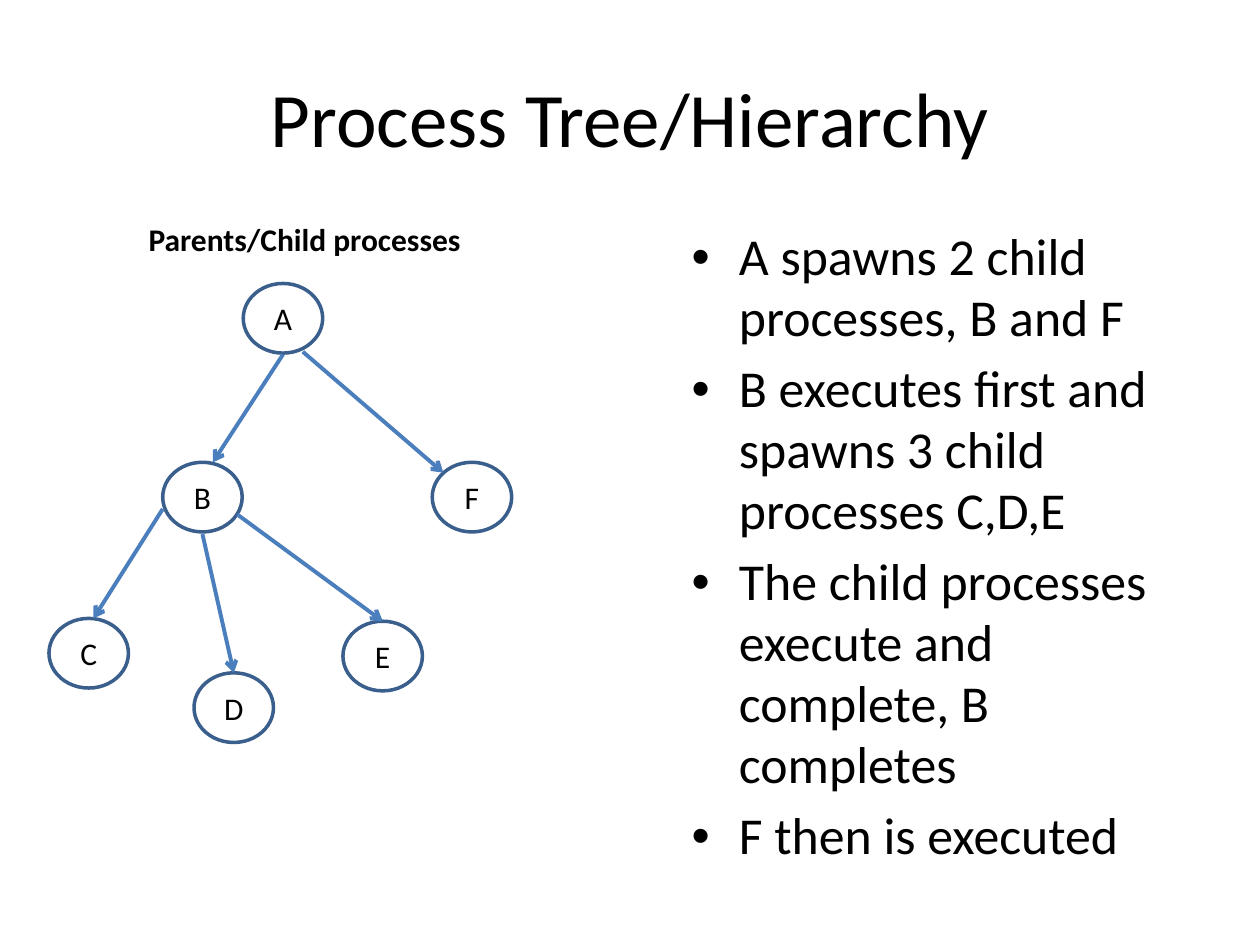
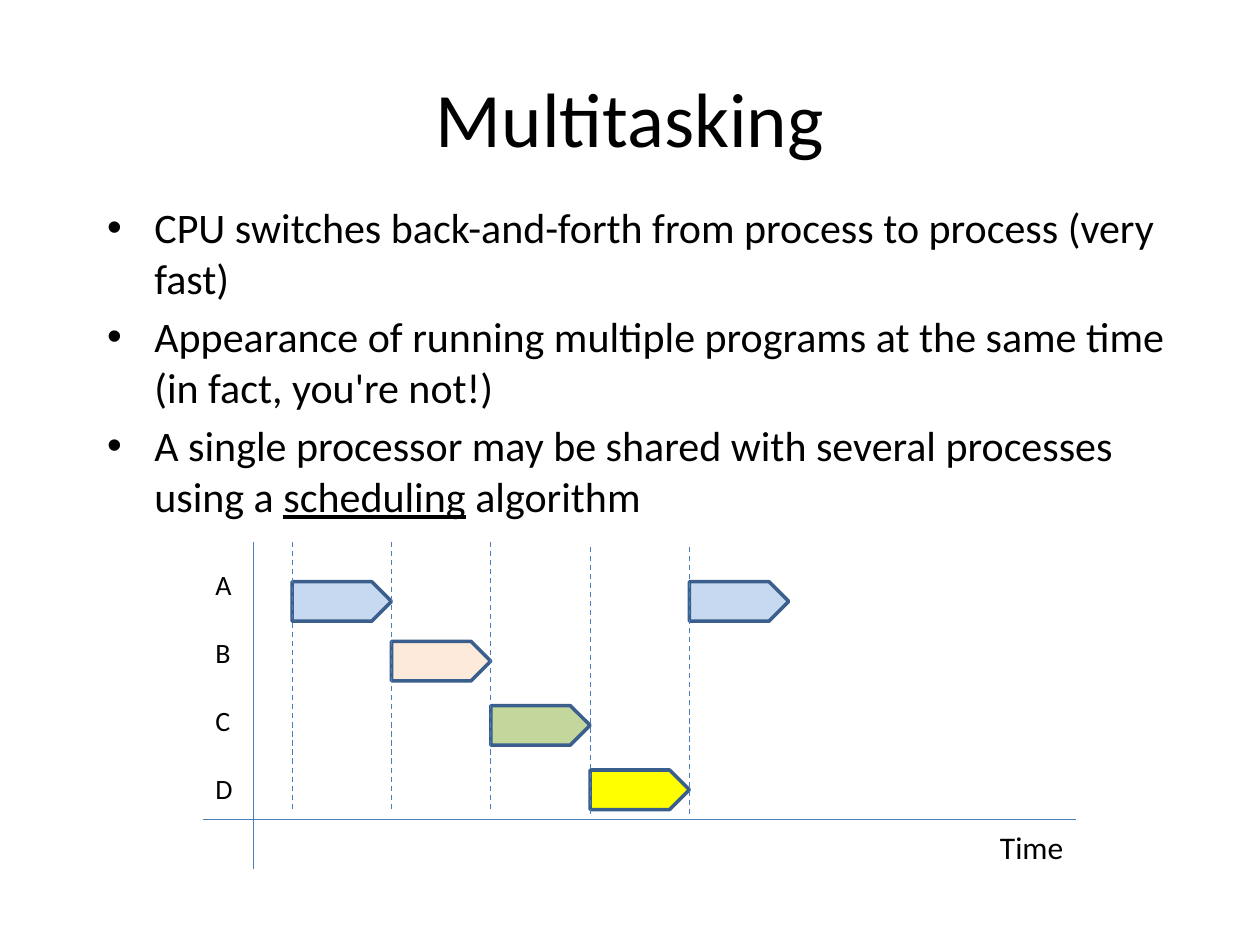
from dataclasses import dataclass

from lxml.etree import SubElement
from pptx import Presentation
from pptx.dml.color import RGBColor
from pptx.enum.dml import MSO_LINE
from pptx.enum.shapes import MSO_CONNECTOR, MSO_SHAPE
from pptx.enum.text import MSO_ANCHOR, MSO_AUTO_SIZE, PP_ALIGN
from pptx.oxml.ns import qn
from pptx.util import Pt


@dataclass(frozen=True)
class Theme:
    font: str = "Calibri"
    ink: str = "000000"
    paper: str = "FFFFFF"
    edge: str = "3A5F8C"
    link: str = "4B7EBC"
    blue: str = "C6D9F1"
    peach: str = "FDEADA"
    green: str = "C3D69B"
    yellow: str = "FFFF00"
    title: float = 44
    large: float = 29.6
    body: float = 24
    label: float = 18
    small: float = 16
    border: float = 2
    arrow: float = 2.25
    thin: float = 0.75


class Deck:
    def __init__(self, theme):
        self.theme = theme
        self.file = Presentation()
        self.file.slide_width, self.file.slide_height = Pt(720), Pt(540)
        self.slide = None

    def start(self, title):
        self.slide = self.file.slides.add_slide(self.file.slide_layouts[1])
        head = self.slide.shapes.title
        self.place(head, 36, 21.6, 648, 90)
        frame = head.text_frame
        frame.text = title
        frame.auto_size = MSO_AUTO_SIZE.NONE
        frame.vertical_anchor = MSO_ANCHOR.MIDDLE
        para = frame.paragraphs[0]
        para.alignment = PP_ALIGN.CENTER
        self.style(para, self.theme.title)

    def place(self, shape, x, y, w, h):
        shape.left, shape.top = Pt(x), Pt(y)
        shape.width, shape.height = Pt(w), Pt(h)

    def style(self, para, size, bold=False):
        font = para.font
        font.name, font.size, font.bold = self.theme.font, Pt(size), bold
        font.color.rgb = RGBColor.from_string(self.theme.ink)

    def bullets(self, box, size, items, pitch=1.0):
        """Fill the body; text between underscores is underlined."""
        body = self.slide.placeholders[1]
        self.place(body, *box)
        frame = body.text_frame
        frame.auto_size = MSO_AUTO_SIZE.NONE
        for i, item in enumerate(items):
            para = frame.add_paragraph() if i else frame.paragraphs[0]
            para.line_spacing = pitch
            self.style(para, size)
            for j, part in enumerate(item.split("_")):
                run = para.add_run()
                run.text = part
                if j % 2:
                    run.font.underline = True

    def text(self, box, lines, size, bold=False, gap=0):
        shape = self.slide.shapes.add_textbox(*map(Pt, box))
        frame = shape.text_frame
        frame.word_wrap = False
        frame.text = "\n".join(lines)
        for i, para in enumerate(frame.paragraphs):
            para.space_before = Pt(gap if i else 0)
            self.style(para, size, bold)

    def shape(self, kind, box, fill, text=""):
        shape = self.slide.shapes.add_shape(kind, *map(Pt, box))
        shape.shadow.inherit = False
        shape.fill.solid()
        shape.fill.fore_color.rgb = RGBColor.from_string(fill)
        shape.line.color.rgb = RGBColor.from_string(self.theme.edge)
        shape.line.width = Pt(self.theme.border)
        if text:
            frame = shape.text_frame
            frame.text = text
            frame.vertical_anchor = MSO_ANCHOR.MIDDLE
            para = frame.paragraphs[0]
            para.alignment = PP_ALIGN.CENTER
            self.style(para, self.theme.label)

    def line(self, start, end, width, dash=False, arrow=False):
        link = self.slide.shapes.add_connector(
            MSO_CONNECTOR.STRAIGHT, *map(Pt, (*start, *end)))
        link.line.color.rgb = RGBColor.from_string(self.theme.link)
        link.line.width = Pt(width)
        if dash:
            link.line.dash_style = MSO_LINE.DASH
        props = link._element.spPr
        if arrow:
            SubElement(props.find(qn("a:ln")), qn("a:tailEnd"), type="arrow")
        SubElement(props, qn("a:effectLst"))


def tree(deck):
    theme = deck.theme
    deck.start("Process Tree/Hierarchy")
    deck.bullets((388, 126, 296, 356.4), theme.large, [
        "A spawns 2 child processes, B and F",
        "B executes first and spawns 3 child processes C,D,E",
        "The child processes execute and complete, B completes",
        "F then is executed",
    ], pitch=0.98)
    deck.text((77.8, 122.4, 194.4, 28.8), ["Parents/Child processes"],
              theme.label, bold=True)

    wide, high = 45.4, 39.8
    nodes = {"A": (139, 162), "B": (93, 264.2), "C": (28, 353.4),
             "D": (110.9, 384.5), "E": (196, 355), "F": (247, 264.2)}
    # Each end is a share of its node's width and height.
    edges = [("A", (0.5, 1.02), "B", (0.63, 0)),
             ("A", (0.75, 0.98), "F", (0.14, 0.15)),
             ("B", (0.5, 1.03), "D", (0.5, 0)),
             ("B", (0, 0.67), "C", (0.56, 0)),
             ("B", (0.94, 0.75), "E", (0.5, 0))]

    def spot(name, share):
        x, y = nodes[name]
        return x + share[0] * wide, y + share[1] * high

    for name, (x, y) in nodes.items():
        deck.shape(MSO_SHAPE.OVAL, (x, y, wide, high), theme.paper, name)
    for parent, out, child, into in edges:
        deck.line(spot(parent, out), spot(child, into), theme.arrow,
                  arrow=True)


def tasks(deck):
    theme = deck.theme
    deck.start("Multitasking")
    deck.bullets((54, 111.6, 624, 158.4), theme.body, [
        "CPU switches back-and-forth from process to process (very fast)",
        "Appearance of running multiple programs at the same time "
        "(in fact, you're not!)",
        "A single processor may be shared with several processes "
        "using a _scheduling_ algorithm",
    ])
    deck.line((144.7, 309.6), (144.7, 496.6), theme.thin)
    deck.line((116, 468.5), (615, 468.5), theme.thin)
    deck.text((564.3, 469.4, 51, 28.8), ["Time"], theme.label)
    deck.text((116, 321, 24.5, 143.3), "ABCD", theme.small, gap=19.5)

    left, step = 167, 56.75
    slots = [(332.4, theme.blue), (366.5, theme.peach), (403.2, theme.green),
             (440, theme.yellow), (332.4, theme.blue)]
    for i, (top, fill) in enumerate(slots):
        deck.shape(MSO_SHAPE.PENTAGON, (left + i * step, top, step, 22.6),
                   fill)
    for i in range(len(slots)):
        x, top = left + i * step, 309.6 if i < 3 else 312.5
        deck.line((x, top), (x, top + 153.4), theme.thin, dash=True)


def main():
    deck = Deck(Theme())
    tree(deck)
    tasks(deck)
    deck.file.save("out.pptx")


if __name__ == "__main__":
    main()
